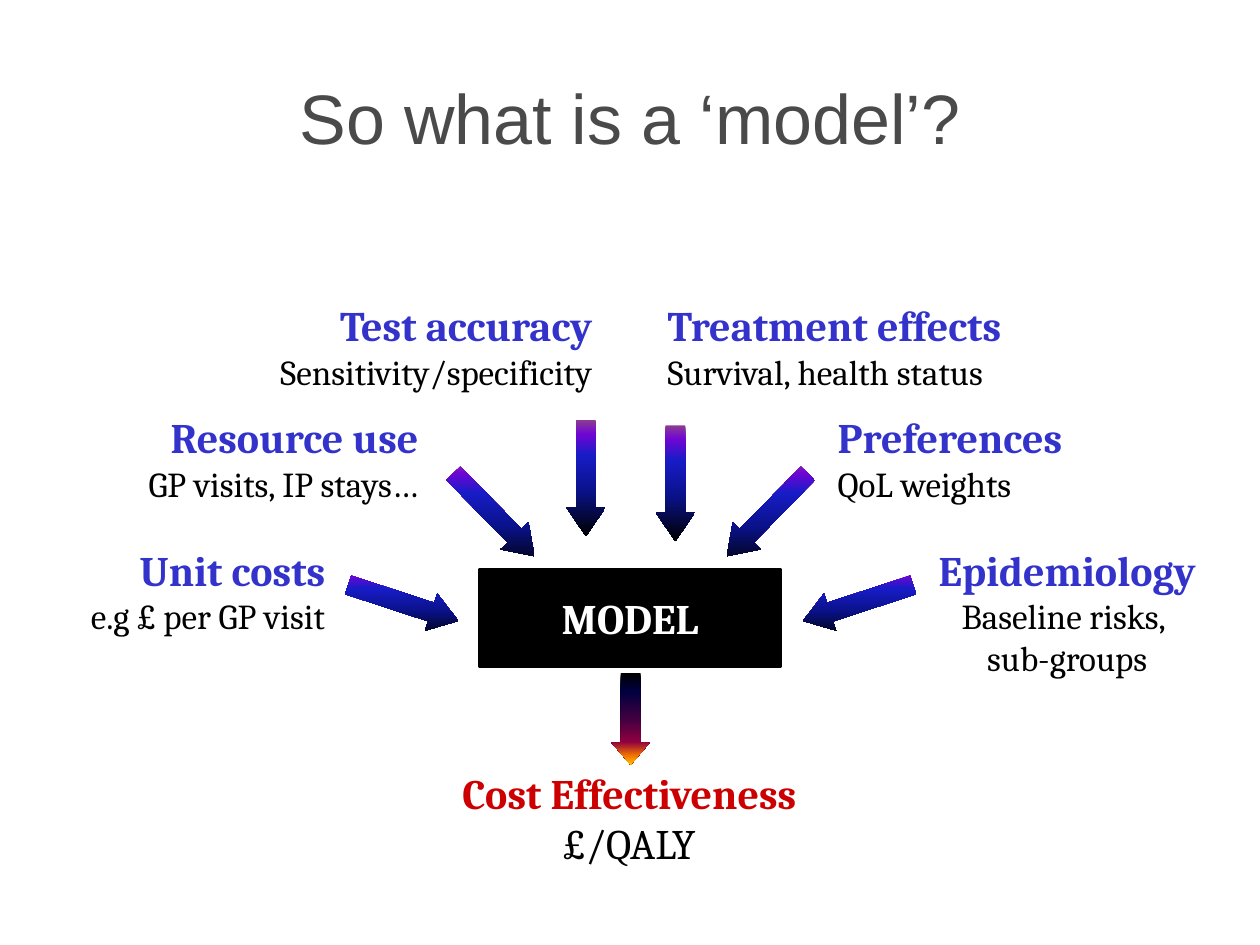
"""Build a slide showing the inputs and the output of a health-economic model."""
from dataclasses import dataclass

from lxml import etree
from pptx import Presentation
from pptx import util as u
from pptx.dml.color import RGBColor
from pptx.enum import shapes, text
from pptx.oxml import ns


@dataclass(frozen=True)
class Theme:
    title_font: str = "Arial"
    body_font: str = "Cambria"
    title_size: int = 40
    heading_size: int = 24
    detail_size: int = 20
    title: str = "4A4A4A"
    input: str = "3333CC"
    output: str = "CC0000"
    dark: str = "000000"
    light: str = "FFFFFF"
    input_stops: tuple = ((0, "8C3D91"), (12, "7005D4"), (30, "181CC7"),
                          (60, "0A128C"), (100, "000000"))
    output_stops: tuple = ((0, "000000"), (20, "000040"), (50, "400040"),
                           (75, "8F0040"), (90, "F27300"), (100, "FFBF00"))


theme = Theme()


def write(para, wording, size, color, font=theme.body_font, bold=False):
    for index, line in enumerate(wording.split("\n")):
        if index:
            para.add_line_break()
        span = para.add_run()
        span.text = line
        span.font.name = font
        span.font.size = u.Pt(size)
        span.font.bold = bold
        span.font.color.rgb = RGBColor.from_string(color)


def add_arrow(page, left, top, width, angle, head, stops):
    arrow = page.shapes.add_shape(
        shapes.MSO_SHAPE.RIGHT_ARROW,
        u.Inches(left), u.Inches(top), u.Inches(width), u.Inches(0.31))
    arrow.rotation = angle
    arrow.adjustments[0] = 0.5
    arrow.adjustments[1] = head
    arrow.shadow.inherit = False
    arrow.line.fill.background()
    arrow.fill.gradient()
    arrow.fill.gradient_angle = 270
    gradient = arrow.element.spPr.find(ns.qn("a:gradFill"))
    gradient.set("rotWithShape", "0")
    stop_list = gradient.find(ns.qn("a:gsLst"))
    for stop in list(stop_list):
        stop_list.remove(stop)
    for percent, color in stops:
        stop = etree.SubElement(stop_list, ns.qn("a:gs"), pos=str(percent * 1000))
        etree.SubElement(stop, ns.qn("a:srgbClr"), val=color)


deck = Presentation()
deck.slide_width = u.Inches(10)
deck.slide_height = u.Inches(7.5)
page = deck.slides.add_slide(deck.slide_layouts[6])

left, center, right = text.PP_ALIGN.LEFT, text.PP_ALIGN.CENTER, text.PP_ALIGN.RIGHT

model = page.shapes.add_shape(
    shapes.MSO_SHAPE.RECTANGLE,
    u.Inches(3.81), u.Inches(4.52), u.Inches(2.38), u.Inches(0.77))
model.shadow.inherit = False
model.fill.solid()
model.fill.fore_color.rgb = RGBColor.from_string(theme.dark)
model.line.color.rgb = RGBColor.from_string(theme.dark)
model.line.width = u.Pt(2.25)
model.text_frame.vertical_anchor = text.MSO_ANCHOR.MIDDLE
para = model.text_frame.paragraphs[0]
para.alignment = center
write(para, "MODEL", theme.heading_size, theme.light, bold=True)

title = page.shapes.add_textbox(u.Inches(0.5), u.Inches(0.3), u.Inches(9), u.Inches(1.25))
title.text_frame.word_wrap = True
title.text_frame.vertical_anchor = text.MSO_ANCHOR.MIDDLE
para = title.text_frame.paragraphs[0]
para.alignment = center
write(para, "So what is a ‘model’?", theme.title_size, theme.title, theme.title_font)

labels = [
    ("Resource use", "GP visits, IP stays…", 0.71, 3.22, 2.71, 0.83, right),
    ("Preferences", "QoL weights", 6.55, 3.22, 2.11, 0.83, left),
    ("Unit costs", "e.g £ per GP visit", 0.35, 4.27, 2.33, 0.83, right),
    ("Epidemiology", "Baseline risks, \nsub-groups", 7.28, 4.27, 2.38, 1.17, center),
    ("Cost Effectiveness", "£/QALY", 3.4, 6.04, 3.19, 0.9, center),
    ("Treatment effects", "Survival, health status", 5.2, 2.33, 2.98, 0.83, left),
    ("Test accuracy", "Sensitivity/specificity", 2.07, 2.33, 2.73, 0.83, right),
]
for heading, detail, x, y, width, height, alignment in labels:
    is_output = heading == "Cost Effectiveness"
    box = page.shapes.add_textbox(u.Inches(x), u.Inches(y), u.Inches(width), u.Inches(height))
    box.text_frame.word_wrap = False
    box.text_frame.auto_size = text.MSO_AUTO_SIZE.SHAPE_TO_FIT_TEXT
    para = box.text_frame.paragraphs[0]
    para.alignment = alignment
    write(para, heading, theme.heading_size,
          theme.output if is_output else theme.input, bold=True)
    para.add_line_break()
    write(para, detail, theme.heading_size if is_output else theme.detail_size, theme.dark)

input_arrows = [
    (3.46, 3.93, 45.6), (5.63, 3.93, 134.4),
    (2.74, 4.63, 18.1), (6.35, 4.63, 161.9),
    (4.9, 3.68, 90), (4.19, 3.64, 90),
]
for x, y, angle in input_arrows:
    add_arrow(page, x, y, 0.92, angle, 0.73, theme.input_stops)
add_arrow(page, 4.64, 5.55, 0.73, 90, 0.58, theme.output_stops)

deck.save("out.pptx")
